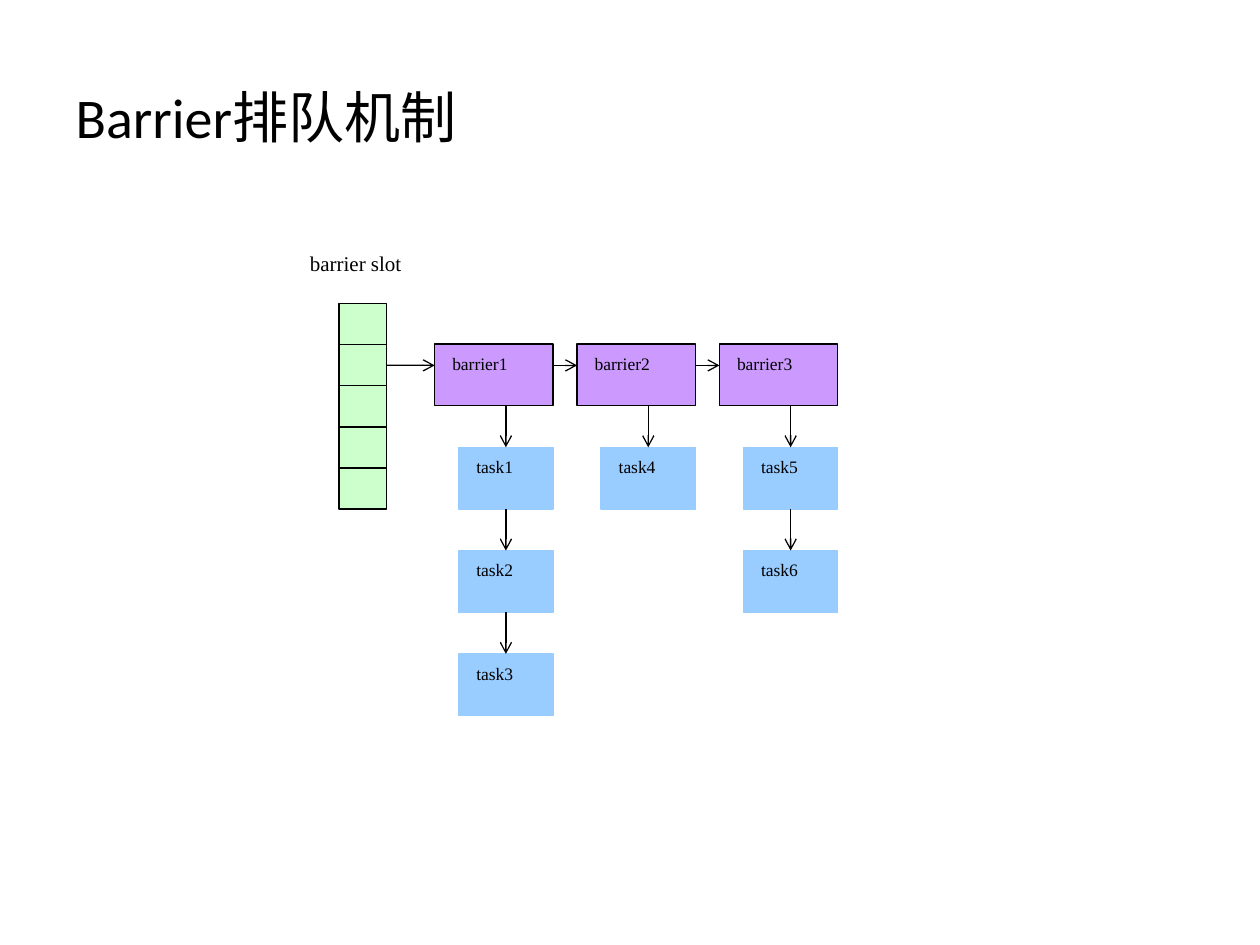
from dataclasses import dataclass

from lxml import etree
from pptx import Presentation
from pptx import util as u
from pptx.dml.color import RGBColor
from pptx.enum import shapes, text
from pptx.oxml.ns import qn


@dataclass(frozen=True)
class Theme:
    ink: str = "000000"
    slot: str = "CCFFCC"
    barrier: str = "CC99FF"
    task: str = "99CCFF"
    title_font: str = "Calibri"
    body_font: str = "Times New Roman"
    title_size: float = 32
    label_size: float = 12
    box_size: float = 10
    line_width: float = 0.75


BOX_TEXT = {
    "word_wrap": True,
    "vertical_anchor": text.MSO_ANCHOR.TOP,
    "margin_left": u.Inches(0.14),
    "margin_right": u.Inches(0.14),
    "margin_top": u.Inches(0.07),
    "margin_bottom": u.Inches(0.07),
}
TITLE_TEXT = {"word_wrap": True, "vertical_anchor": text.MSO_ANCHOR.MIDDLE}


def apply(obj, values):
    for name, value in values.items():
        setattr(obj, name, value)


class Diagram:
    def __init__(self, s, theme):
        self.s = s
        self.theme = theme
        self.group = s.shapes.add_group_shape().shapes

    def put_text(self, sp, words, font, size, frame):
        tf = sp.text_frame
        apply(tf, frame)
        p = tf.paragraphs[0]
        p.alignment = text.PP_ALIGN.LEFT
        r = p.add_run()
        r.text = words
        apply(r.font, {"name": font, "size": u.Pt(size)})
        r.font.color.rgb = RGBColor.from_string(self.theme.ink)

    def title(self, words, box):
        sp = self.s.shapes.title
        apply(sp, dict(zip(("left", "top", "width", "height"), map(u.Inches, box))))
        self.put_text(sp, words, self.theme.title_font, self.theme.title_size, TITLE_TEXT)

    def label(self, words, box):
        sp = self.group.add_textbox(*map(u.Inches, box))
        self.put_text(sp, words, self.theme.body_font, self.theme.label_size, BOX_TEXT)

    def box(self, box, fill, line, words=None):
        sp = self.group.add_shape(shapes.MSO_SHAPE.RECTANGLE, *map(u.Inches, box))
        sp.shadow.inherit = False
        sp.fill.solid()
        sp.fill.fore_color.rgb = RGBColor.from_string(fill)
        sp.line.color.rgb = RGBColor.from_string(line)
        sp.line.width = u.Pt(self.theme.line_width)
        if words:
            self.put_text(sp, words, self.theme.body_font, self.theme.box_size, BOX_TEXT)
        return sp

    def arrow(self, start, end, begin=None, finish=None):
        cx = self.group.add_connector(
            shapes.MSO_CONNECTOR.STRAIGHT, *map(u.Inches, start + end))
        if begin:
            cx.begin_connect(*begin)
        if finish:
            cx.end_connect(*finish)
        cx.line.color.rgb = RGBColor.from_string(self.theme.ink)
        cx.line.width = u.Pt(self.theme.line_width)
        props = cx.element.spPr
        etree.SubElement(props.find(qn("a:ln")), qn("a:tailEnd"), type="arrow")
        etree.SubElement(props, qn("a:effectLst"))


def main():
    prs = Presentation()
    prs.slide_width, prs.slide_height = u.Inches(10), u.Inches(7.5)
    theme = Theme()
    d = Diagram(prs.slides.add_slide(prs.slide_layouts[5]), theme)
    d.title("Barrier排队机制", (0.5, 0.3, 9, 1.25))
    d.label("barrier slot", (2.32, 1.92, 1.26, 0.49))

    slot_left, slot_top, slot_w, slot_bottom, slot_count = 2.69, 2.41, 0.38, 4.04, 5
    slot_h = (slot_bottom - slot_top) / slot_count
    slots = [d.box((slot_left, slot_top + i * slot_h, slot_w, slot_h),
                   theme.slot, theme.ink) for i in range(slot_count)]

    queue = {
        "barrier1": ["task1", "task2", "task3"],
        "barrier2": ["task4"],
        "barrier3": ["task5", "task6"],
    }
    left, top, pitch = 3.45, 2.73, 1.13
    barrier_w, task_w, box_h, row_pitch = 0.94, 0.75, 0.49, 0.82
    link_y = 2.9
    link_start, link_begin = slot_left + slot_w, (slots[1], 3)

    for col, (barrier, tasks) in enumerate(queue.items()):
        x = left + col * pitch
        d.box((x, top, barrier_w, box_h), theme.barrier, theme.ink, barrier)
        d.arrow((link_start, link_y), (x, link_y), begin=link_begin)
        link_start, link_begin = x + barrier_w, None

        task_x = x + barrier_w - task_w
        mid_x = task_x + task_w / 2
        above = None
        for row, task in enumerate(tasks, 1):
            y = top + row * row_pitch
            sp = d.box((task_x, y, task_w, box_h), theme.task, theme.task, task)
            d.arrow((mid_x, y - row_pitch + box_h), (mid_x, y),
                    begin=above, finish=(sp, 0))
            above = (sp, 2)

    prs.save("out.pptx")


if __name__ == "__main__":
    main()
